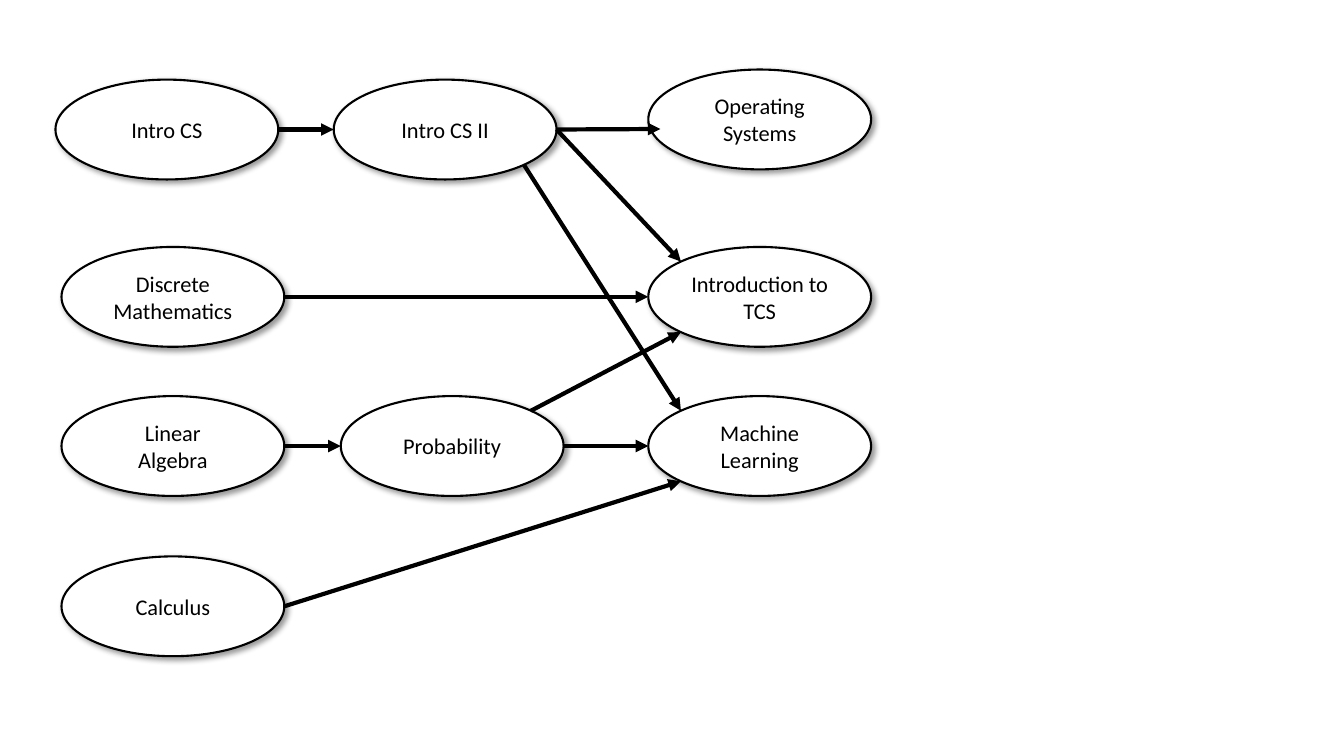
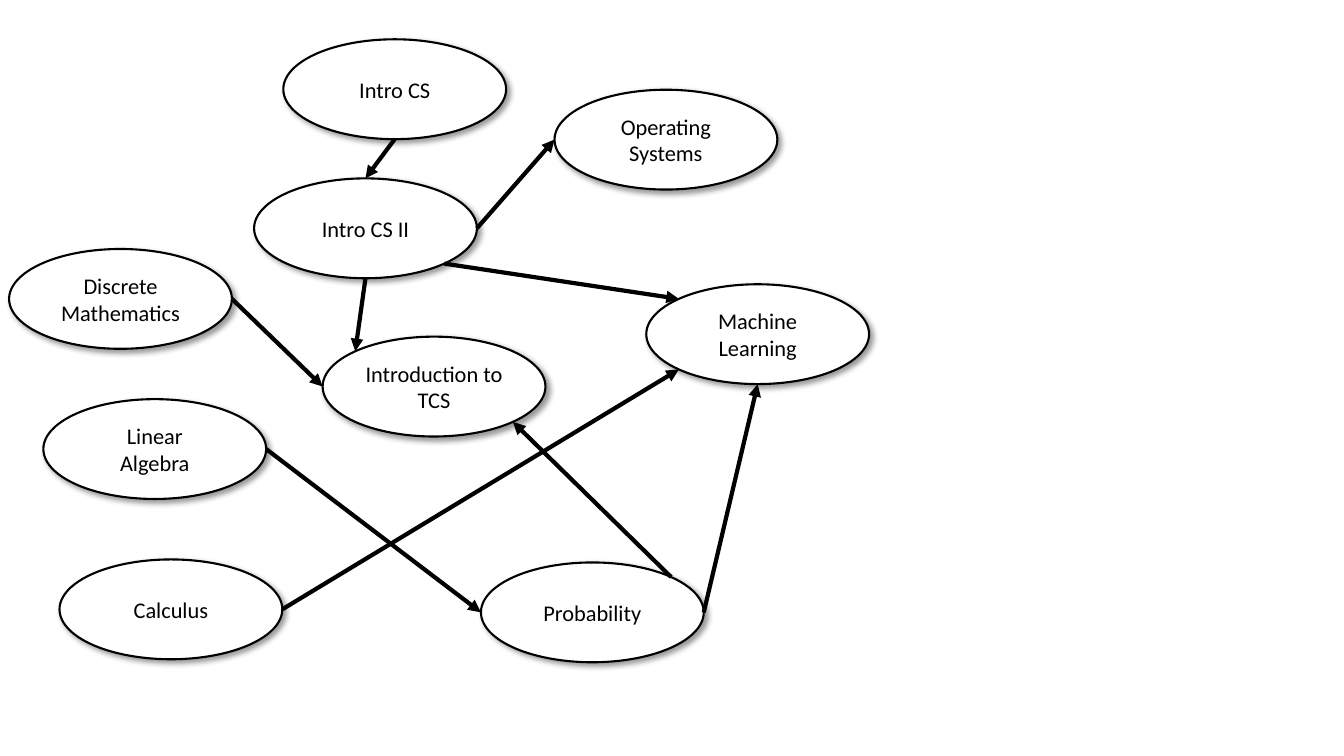
"""Two slides that draw a course prerequisite graph, first in columns and then rearranged."""
from math import cos, radians, sin

from lxml.etree import SubElement
from pptx import Presentation
from pptx.dml.color import RGBColor
from pptx.enum.shapes import MSO_CONNECTOR, MSO_SHAPE
from pptx.enum.text import MSO_ANCHOR, PP_ALIGN
from pptx.oxml.ns import qn
from pptx.util import Inches, Pt

BLACK = RGBColor(0x00, 0x00, 0x00)
WHITE = RGBColor(0xFF, 0xFF, 0xFF)
FONT = "Calibri"
OVAL_W, OVAL_H = 2.21, 0.99
TOP, TOP_LEFT, LEFT, BOTTOM_LEFT, BOTTOM, BOTTOM_RIGHT, RIGHT, TOP_RIGHT = range(8)

COURSES = {
    "cs2": "Intro CS II",
    "cs1": "Intro CS",
    "discrete": "Discrete\vMathematics",
    "linear": "Linear\vAlgebra",
    "probability": "Probability",
    "tcs": "Introduction to TCS",
    "os": "Operating Systems",
    "ml": "Machine\vLearning",
    "calculus": "Calculus",
}

COLUMN_PLACES = {
    "cs2": (3.31, 0.79), "cs1": (0.55, 0.79), "discrete": (0.61, 2.45),
    "linear": (0.61, 3.93), "probability": (3.38, 3.93), "tcs": (6.43, 2.45),
    "os": (6.43, 0.69), "ml": (6.43, 3.93), "calculus": (0.61, 5.52),
}
COLUMN_ARROWS = [
    ("cs1", RIGHT, "cs2", LEFT),
    ("cs2", RIGHT, None, (6.55, 1.28)),
    ("discrete", RIGHT, "tcs", LEFT),
    ("linear", RIGHT, "probability", LEFT),
    ("probability", RIGHT, "ml", LEFT),
    ("cs2", BOTTOM_RIGHT, "ml", TOP_LEFT),
    ("calculus", RIGHT, "ml", BOTTOM_LEFT),
    ("probability", TOP_RIGHT, "tcs", BOTTOM_LEFT),
    ("cs2", RIGHT, "tcs", TOP_LEFT),
]

FREE_PLACES = {
    "cs2": (2.52, 1.77), "cs1": (2.81, 0.39), "discrete": (0.09, 2.47),
    "linear": (0.43, 3.96), "probability": (4.77, 5.58), "tcs": (3.2, 3.34),
    "os": (5.5, 0.89), "ml": (6.41, 2.82), "calculus": (0.59, 5.55),
}
FREE_ARROWS = [
    ("cs1", BOTTOM, "cs2", TOP),
    ("cs2", RIGHT, "os", LEFT),
    ("discrete", RIGHT, "tcs", LEFT),
    ("linear", RIGHT, "probability", LEFT),
    ("probability", RIGHT, "ml", BOTTOM),
    ("cs2", BOTTOM_RIGHT, "ml", TOP_LEFT),
    ("calculus", RIGHT, "ml", BOTTOM_LEFT),
    ("probability", TOP_RIGHT, "tcs", BOTTOM_RIGHT),
    ("cs2", BOTTOM, "tcs", TOP_LEFT),
]

GRAPHS = [(COLUMN_PLACES, COLUMN_ARROWS), (FREE_PLACES, FREE_ARROWS)]


def add_shadow(sp):
    sp.shadow.inherit = False
    effects = sp._element.spPr.find(qn("a:effectLst"))
    shadow = SubElement(effects, qn("a:outerShdw"), blurRad=str(Pt(4)), dist=str(Pt(3)),
                        dir=str(45 * 60000), algn="tl", rotWithShape="0")
    color = SubElement(shadow, qn("a:srgbClr"), val=str(BLACK))
    SubElement(color, qn("a:alpha"), val="40000")


def add_course(s, label, left, top):
    sp = s.shapes.add_shape(MSO_SHAPE.OVAL, Inches(left), Inches(top),
                            Inches(OVAL_W), Inches(OVAL_H))
    sp.fill.solid()
    sp.fill.fore_color.rgb = WHITE
    sp.line.color.rgb = BLACK
    sp.line.width = Pt(1.5)
    add_shadow(sp)
    tf = sp.text_frame
    tf.word_wrap = True
    tf.vertical_anchor = MSO_ANCHOR.MIDDLE
    tf.text = label
    p = tf.paragraphs[0]
    p.alignment = PP_ALIGN.CENTER
    for r in p.runs:
        r.font.name = FONT
        r.font.size = Pt(16)
        r.font.color.rgb = BLACK
    return sp


def site_point(sp, site):
    """Return the point of one of the eight sites, counted anticlockwise from the top."""
    angle = radians(90 + 45 * site)
    return (round(sp.left + sp.width / 2 * (1 + cos(angle))),
            round(sp.top + sp.height / 2 * (1 - sin(angle))))


def add_arrow(s, ovals, source, source_site, target, target_site):
    start = site_point(ovals[source], source_site)
    if target:
        end = site_point(ovals[target], target_site)
    else:
        end = [Inches(v) for v in target_site]
    line = s.shapes.add_connector(MSO_CONNECTOR.STRAIGHT, *start, *end)
    line.line.color.rgb = BLACK
    line.line.width = Pt(3)
    SubElement(line.line._get_or_add_ln(), qn("a:tailEnd"), type="triangle")
    SubElement(line._element.spPr, qn("a:effectLst"))
    joints = line._element.nvCxnSpPr.cNvCxnSpPr
    for tag, key, site in (("a:stCxn", source, source_site), ("a:endCxn", target, target_site)):
        if key:
            SubElement(joints, qn(tag), id=str(ovals[key].shape_id), idx=str(site))


def main():
    prs = Presentation()
    prs.slide_width, prs.slide_height = Inches(13.33), Inches(7.5)
    for places, arrows in GRAPHS:
        s = prs.slides.add_slide(prs.slide_layouts[6])
        ovals = {key: add_course(s, label, *places[key]) for key, label in COURSES.items()}
        for arrow in arrows:
            add_arrow(s, ovals, *arrow)
    prs.save("out.pptx")


if __name__ == "__main__":
    main()
